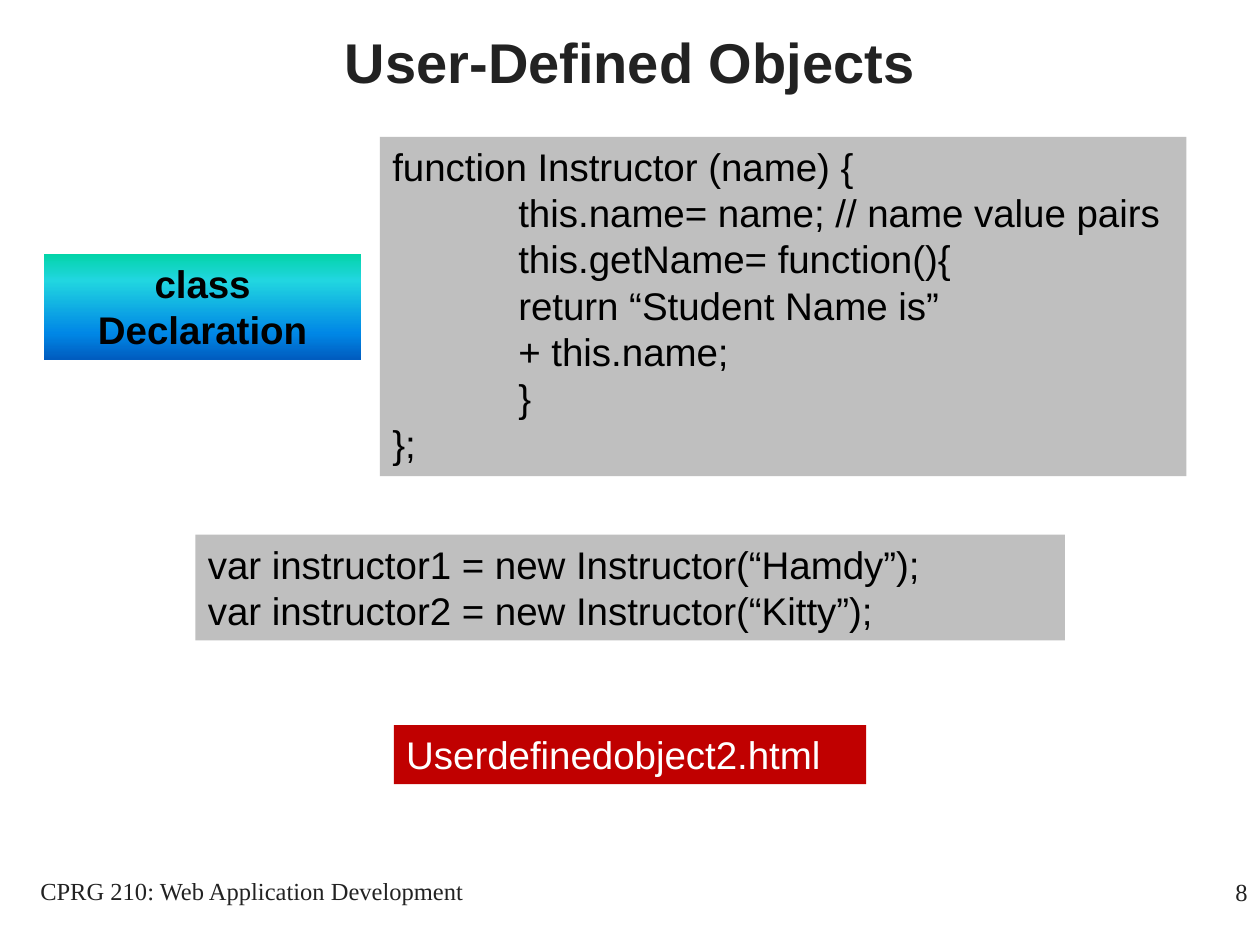
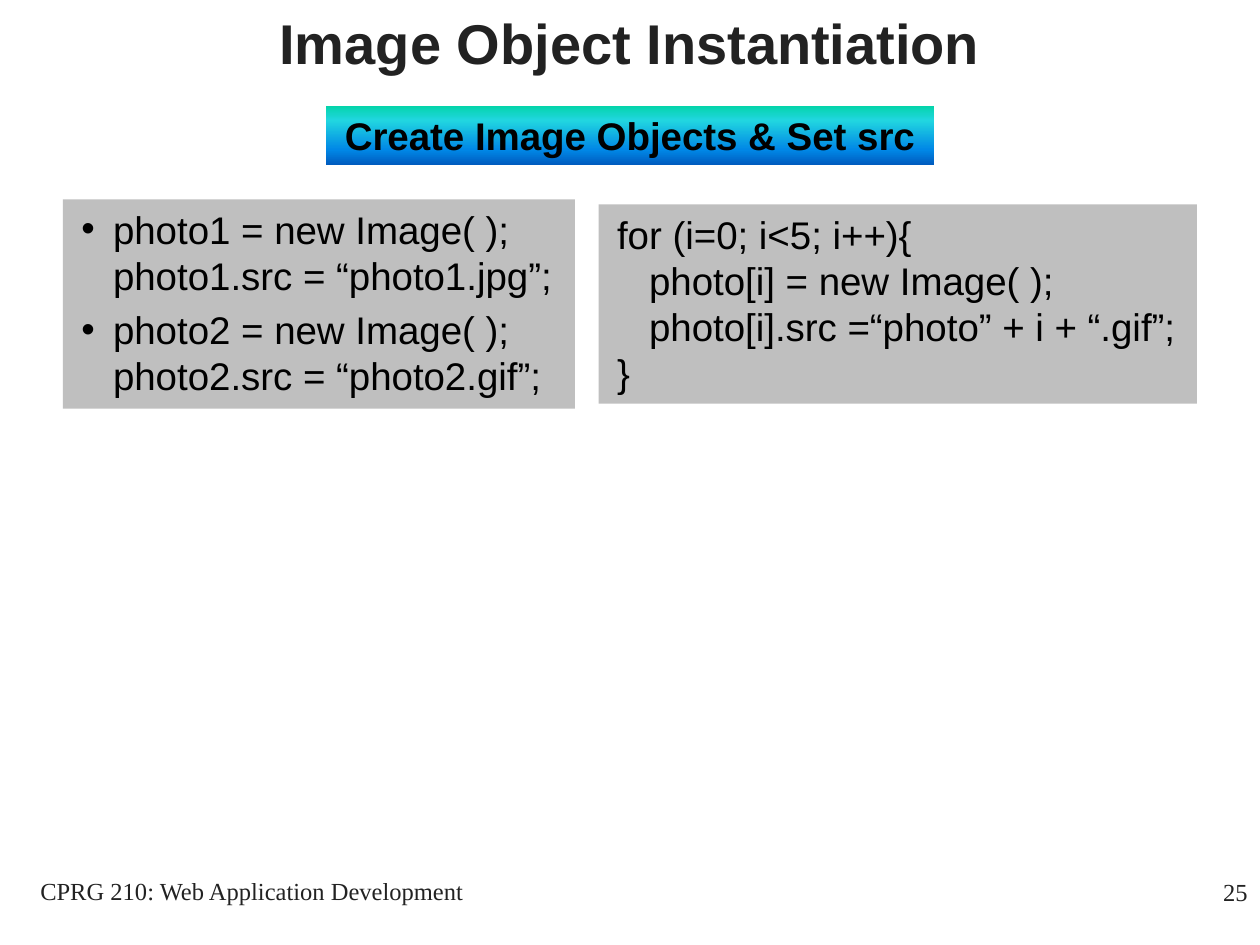
from lxml.etree import SubElement as Sub
from pptx import Presentation
from pptx.dml.color import RGBColor
from pptx.enum.shapes import MSO_SHAPE as Shape
from pptx.enum.text import MSO_ANCHOR as Anchor, MSO_AUTO_SIZE as Fit, PP_ALIGN as Align
from pptx.oxml.ns import qn
from pptx.util import Cm, Pt

# Colours
INK = RGBColor(0x22, 0x22, 0x22)
BLACK = RGBColor(0x00, 0x00, 0x00)
WHITE = RGBColor(0xFF, 0xFF, 0xFF)
GREY = RGBColor(0xBF, 0xBF, 0xBF)
RED = RGBColor(0xC0, 0x00, 0x00)
STOPS = (
    (0, RGBColor(0x03, 0xD4, 0xA8)),
    (25, RGBColor(0x21, 0xD6, 0xE0)),
    (75, RGBColor(0x00, 0x87, 0xE6)),
    (100, RGBColor(0x00, 0x5C, 0xBF)),
)

# Text formats
TITLE = {"name": "Arial", "size": Pt(32), "bold": True}
FOOT = {"name": "Times New Roman", "size": Pt(14)}
CODE = {"name": "Arial", "size": Pt(22)}
HEAD = {**CODE, "bold": True}

WIDTH, HEIGHT = 25.4, 19.05
TAB = 2.54
COURSE = "CPRG 210: Web Application Development"


def write(shape, lines, style, color, align=Align.LEFT):
    """Write one paragraph per item; a newline inside an item is a line break."""
    frame = shape.text_frame
    frame.word_wrap = True
    for i, line in enumerate(lines):
        para = frame.add_paragraph() if i else frame.paragraphs[0]
        para.text = line
        para.alignment = align
        for run in para.runs:
            for key, value in style.items():
                setattr(run.font, key, value)
            run.font.color.rgb = color
    return frame


def add_text(slide, at, text, style, align):
    box = slide.shapes.add_textbox(*map(Cm, at))
    return write(box, [text], style, INK, align)


def add_box(slide, at, lines, style=CODE, fill=GREY, color=BLACK, align=Align.LEFT):
    box = slide.shapes.add_shape(Shape.RECTANGLE, *map(Cm, at))
    box.shadow.inherit = False
    box.line.fill.background()
    if fill is STOPS:
        blend(box)
    else:
        box.fill.solid()
        box.fill.fore_color.rgb = fill
    frame = write(box, lines, style, color, align)
    frame.vertical_anchor = Anchor.TOP
    frame.auto_size = Fit.SHAPE_TO_FIT_TEXT
    return frame


def blend(box):
    """Fill from top to bottom through all the stops."""
    box.fill.gradient()
    box.fill.gradient_angle = 270
    stops = box.element.spPr.find(qn("a:gradFill")).find(qn("a:gsLst"))
    for old in list(stops):
        stops.remove(old)
    for place, color in STOPS:
        stop = Sub(stops, qn("a:gs"), pos=str(place * 1000))
        Sub(stop, qn("a:srgbClr"), val=str(color))


def add_label(slide, at, text):
    add_box(slide, at, [text], HEAD, STOPS, align=Align.CENTER)


def set_tab(frame, stop):
    for para in frame.paragraphs:
        tabs = Sub(para._p.get_or_add_pPr(), qn("a:tabLst"))
        Sub(tabs, qn("a:tab"), pos=str(Cm(stop)), algn="l")


def indent(frame, left, hang=0, mark=None):
    for i, para in enumerate(frame.paragraphs):
        if i:
            para.space_before = Pt(4.5)
        props = para._p.get_or_add_pPr()
        props.set("marL", str(Cm(left)))
        props.set("indent", str(Cm(-hang)))
        if mark:
            Sub(props, qn("a:buFont"), typeface="Arial")
            Sub(props, qn("a:buChar"), char=mark)


def add_slide(deck, title, middle, number):
    """Start a slide with its title, centred on a height, and its footer."""
    slide = deck.slides.add_slide(deck.slide_layouts[6])
    head = add_text(slide, (0, 0, WIDTH, 2 * middle), title, TITLE, Align.CENTER)
    head.vertical_anchor = Anchor.MIDDLE
    add_text(slide, (0, 17.53, 10.16, 1.27), COURSE, FOOT, Align.CENTER)
    add_text(slide, (20.12, 17.55, 5.28, 1.27), str(number), FOOT, Align.RIGHT)
    return slide


def build_class(deck):
    slide = add_slide(deck, "User-Defined Objects", 1.23, 8)
    add_label(slide, (0.89, 5.12, 6.39, 2.13), "class Declaration")
    code = add_box(slide, (7.66, 2.76, 16.26, 6.84), [
        "function Instructor (name) {",
        "\tthis.name= name; // name value pairs",
        "\tthis.getName= function(){",
        "\treturn “Student Name is”",
        "\t+ this.name;",
        "\t}",
        "};",
    ])
    set_tab(code, TAB)
    add_box(slide, (3.94, 10.78, 17.53, 2.13), [
        "var instructor1 = new Instructor(“Hamdy”);",
        "var instructor2 = new Instructor(“Kitty”);",
    ])
    add_box(slide, (7.94, 14.62, 9.52, 1.19), ["Userdefinedobject2.html"],
            fill=RED, color=WHITE)


def build_image(deck):
    slide = add_slide(deck, "Image Object Instantiation", 0.85, 25)
    add_label(slide, (6.57, 2.13, 12.26, 1.19), "Create Image Objects & Set src")
    # Two ways to fill the objects
    pairs = add_box(slide, (1.27, 4.02, 10.32, 4.22), [
        f"photo{n} = new Image( );\nphoto{n}.src = “photo{n}.{kind}”;"
        for n, kind in ((1, "jpg"), (2, "gif"))
    ])
    indent(pairs, 0.76, 0.64, "•")
    loop = add_box(slide, (12.07, 4.12, 12.06, 4.02), [
        "for (i=0; i<5; i++){\n"
        "   photo[i] = new Image( );\n"
        "   photo[i].src =“photo” + i + “.gif”;\n"
        "}",
    ])
    indent(loop, 0.12)


def main():
    deck = Presentation()
    deck.slide_width, deck.slide_height = Cm(WIDTH), Cm(HEIGHT)
    build_class(deck)
    build_image(deck)
    deck.save("out.pptx")


if __name__ == "__main__":
    main()
